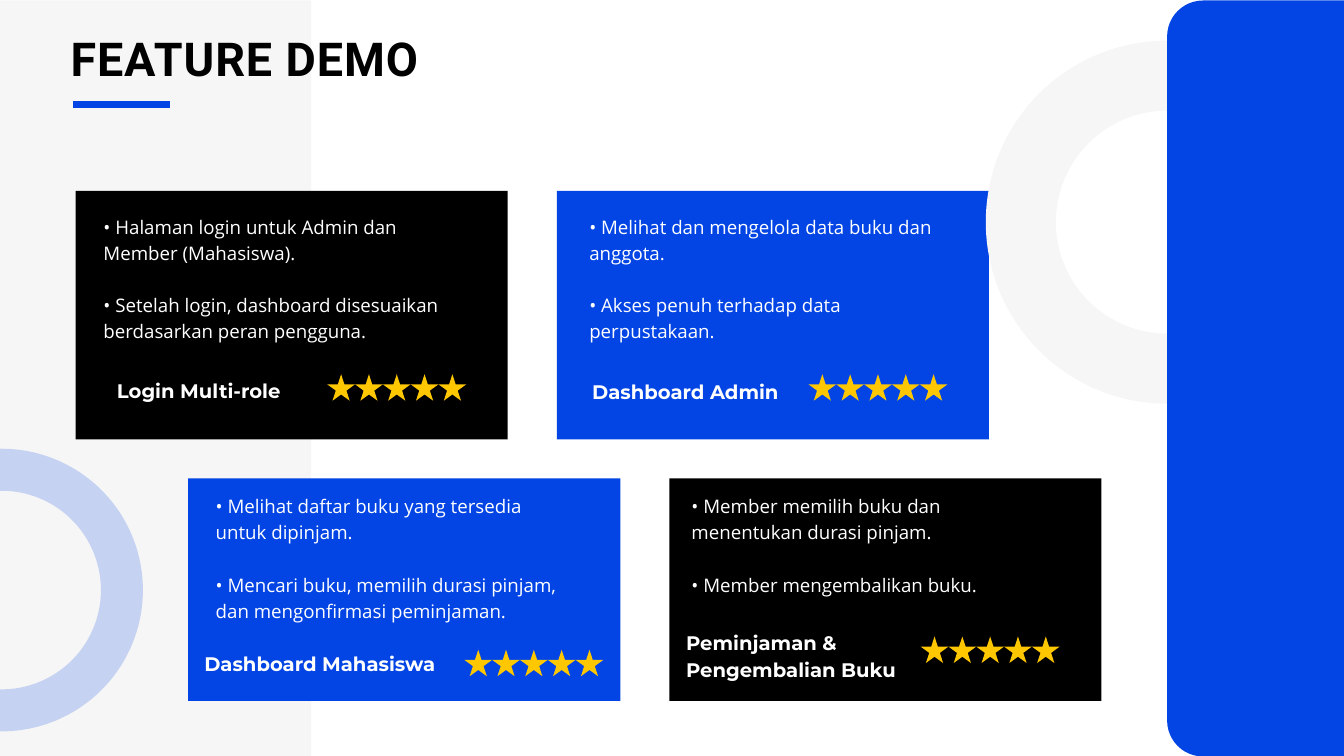
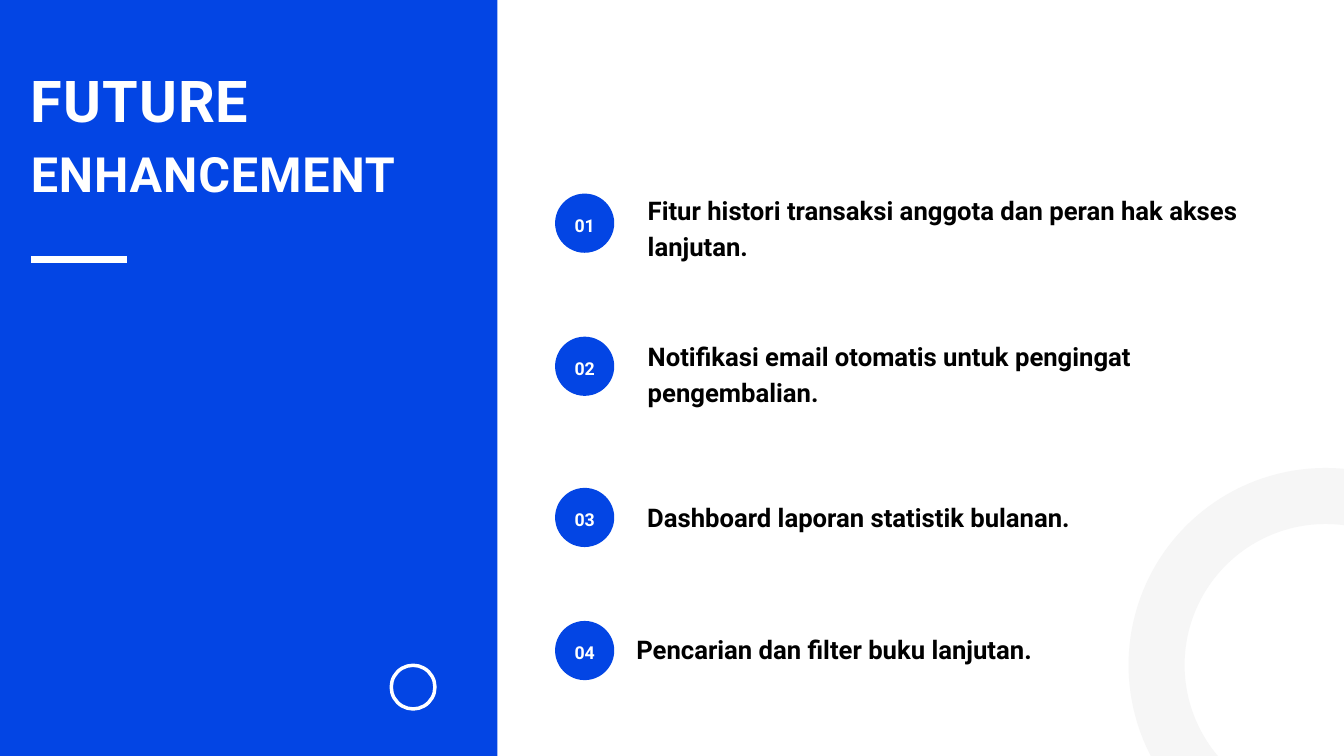
from lxml import etree
from pptx import Presentation
from pptx.dml.color import RGBColor
from pptx.enum import shapes, text
from pptx.oxml import ns
from pptx.util import Pt

HUES = {"blue": "0345E4", "black": "000000", "white": "FFFFFF",
        "pale": "F6F6F6", "gold": "FFC700"}
KIND = shapes.MSO_SHAPE


def hue(name):
    return RGBColor.from_string(HUES[name])


class Deck:
    def __init__(self, wide, high):
        self.prs = Presentation()
        self.prs.slide_width, self.prs.slide_height = Pt(wide), Pt(high)
        self.slide = None

    def page(self):
        self.slide = self.prs.slides.add_slide(self.prs.slide_layouts[6])

    def shape(self, kind, x, y, w, h, fill):
        item = self.slide.shapes.add_shape(kind, Pt(x), Pt(y), Pt(w), Pt(h))
        item.shadow.inherit = False
        item.fill.solid()
        item.fill.fore_color.rgb = hue(fill)
        item.line.fill.background()
        return item

    def ring(self, x, y, size, color, width, alpha=None):
        item = self.shape(KIND.OVAL, x, y, size, size, color)
        item.fill.background()
        item.line.color.rgb = hue(color)
        item.line.width = Pt(width)
        if alpha:
            tone = item.line._ln.find(".//" + ns.qn("a:srgbClr"))
            etree.SubElement(tone, ns.qn("a:alpha"), val=str(alpha * 1000))

    def rule(self, x, y, color):
        """Short thick bar below a title."""
        line = self.slide.shapes.add_connector(
            shapes.MSO_CONNECTOR.STRAIGHT, Pt(x), Pt(y), Pt(x + 103.5), Pt(y))
        line.line.color.rgb = hue(color)
        line.line.width = Pt(7.5)
        etree.SubElement(line._element.spPr, ns.qn("a:effectLst"))

    def style(self, para, words, size, color, face="Roboto", bold=True,
              space=0):
        """Write one paragraph with lines 1.4 times the font size apart."""
        run = para.add_run()
        run.text = words
        font = para.font
        font.size, font.name, font.bold = Pt(size), face, bold
        font.color.rgb = hue(color)
        para.line_spacing = Pt(round(size * 1.4, 1))
        if space:
            run._r.get_or_add_rPr().set("spc", str(round(space * 100)))

    def frame(self, item):
        """Return the text frame of a shape, wrapped and without insets."""
        body = item.text_frame
        body.word_wrap = True
        body.margin_left = body.margin_right = 0
        body.margin_top = body.margin_bottom = 0
        return body

    def text(self, x, y, w, h, lines, gap=0):
        """Add a text box; each line is a dict of style arguments."""
        body = self.frame(self.slide.shapes.add_textbox(
            Pt(x), Pt(y), Pt(w), Pt(h)))
        for i, line in enumerate(lines):
            para = body.add_paragraph() if i else body.paragraphs[0]
            self.style(para, **line)
            if gap and i < len(lines) - 1:
                para.space_after = Pt(gap)

    def stars(self, x, y, count=5):
        for i in range(count):
            self.shape(KIND.STAR_5_POINT, x + 29.8 * i, y, 29.8, 28.4, "gold")

    def badge(self, x, y, words):
        disc = self.shape(KIND.OVAL, x, y, 63.4, 63.4, "blue")
        body = self.frame(disc)
        body.vertical_anchor = text.MSO_ANCHOR.MIDDLE
        para = body.paragraphs[0]
        para.alignment = text.PP_ALIGN.CENTER
        self.style(para, words, 19, "white")


# Card rows: left, top, height; cards in a row are STEP apart
ROWS = [(81, 204.5, 266.4), (201.6, 512.6, 238.4)]
STEP = 515.6

# Fill, points and their place, label with place and width, place of stars
CARDS = [
    ("black", ["• Halaman login untuk Admin dan Member (Mahasiswa).",
               "• Setelah login, dashboard disesuaikan berdasarkan peran pengguna."],
     (110.9, 226.8), "Login Multi-role", (125.3, 401.8, 187), (350.6, 401)),
    ("blue", ["• Melihat dan mengelola data buku dan anggota.",
              "• Akses penuh terhadap data perpustakaan."],
     (631.4, 226.8), "Dashboard Admin", (634.5, 402.5, 213), (866.2, 401)),
    ("blue", ["• Melihat daftar buku yang tersedia untuk dipinjam.",
              "• Mencari buku, memilih durasi pinjam, dan mengonfirmasi peminjaman."],
     (231.1, 526.3), "Dashboard Mahasiswa", (218.9, 694.8, 258.5),
     (497.5, 696.2)),
    ("black", ["• Member memilih buku dan menentukan durasi pinjam.",
               "• Member mengembalikan buku."],
     (740.9, 526.3), "Peminjaman & Pengembalian Buku", (735.1, 671.8, 270.7),
     (986.4, 682)),
]

# Top of badge, place and width of text, words
PLANS = [
    (207.4, 694, 203.8, 688,
     "Fitur histori transaksi anggota dan peran hak akses lanjutan."),
    (360.7, 694, 360, 627,
     "Notifikasi email otomatis untuk pengingat pengembalian."),
    (522.7, 693.4, 532, 689, "Dashboard laporan statistik bulanan."),
    (665.3, 681.8, 673.2, 689, "Pencarian dan filter buku lanjutan."),
]


def demo(deck):
    deck.page()
    deck.shape(KIND.RECTANGLE, 0, 0.5, 333.4, 809.5, "pale")

    # Feature cards
    for i, (fill, points, spot, label, place, rate) in enumerate(CARDS):
        x, y, h = ROWS[i // 2]
        deck.shape(KIND.RECTANGLE, x + STEP * (i % 2), y, 463, h, fill)
        deck.stars(*rate)
        deck.text(*place, 28, [dict(words=label, size=21, color="white",
                                    face="Montserrat")])
        deck.text(*spot, 374.4, 138,
                  [dict(words=point, size=20, color="white",
                        face="Open Sans", bold=False) for point in points],
                  gap=28)

    # Right panel with its ring
    deck.ring(1093.7, 81, 314, "pale", 75)
    panel = deck.shape(KIND.ROUNDED_RECTANGLE, 1250.5, 0.5, 241, 810, "blue")
    panel.adjustments[0] = 0.16

    # Title
    deck.rule(78.5, 112.3, "blue")
    deck.text(75.6, 21.6, 685, 67, [dict(words="FEATURE DEMO", size=50,
                                         color="black", space=1)])
    deck.ring(-127.2, 503.3, 257.8, "blue", 45, alpha=20)


def future(deck):
    deck.page()

    # Title panel
    deck.shape(KIND.RECTANGLE, 0, 0, 533, 810, "blue")
    deck.rule(33, 278, "white")
    deck.text(33, 56.9, 429, 157, [
        dict(words="FUTURE", size=61.8, color="white", space=1.2),
        dict(words="ENHANCEMENT", size=52, color="white", space=1)])
    deck.ring(419.2, 712.8, 46.8, "white", 3.75)

    # Numbered plans
    deck.ring(1239.2, 531.4, 362.2, "pale", 60)
    for i, (top, x, y, w, words) in enumerate(PLANS, 1):
        deck.badge(594.7, top, f"{i:02}")
        deck.text(x, y, w, 77, [dict(words=words, size=27.5, color="black")])


def main():
    deck = Deck(1440, 810)
    demo(deck)
    future(deck)
    deck.prs.save("out.pptx")


if __name__ == "__main__":
    main()
